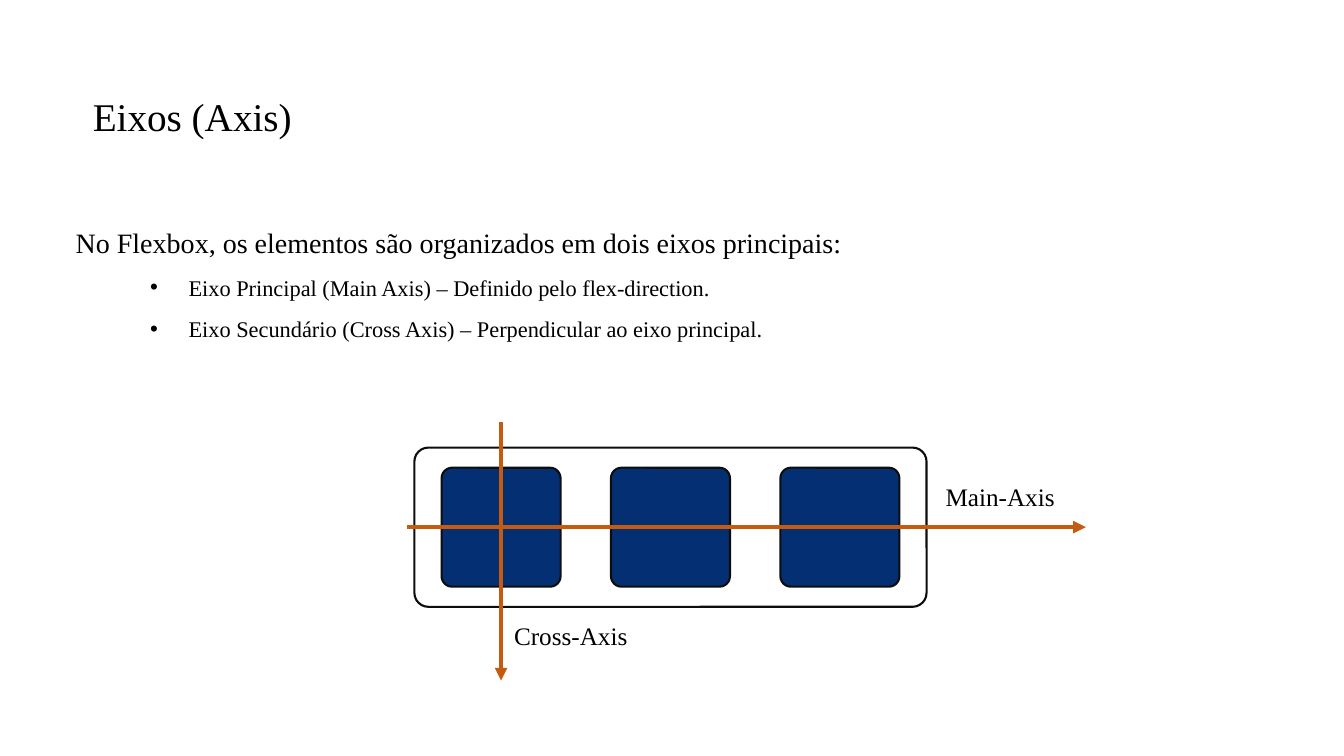
from dataclasses import dataclass
from lxml.etree import SubElement
from pptx import Presentation
from pptx.dml.color import RGBColor as RGB
from pptx.enum.shapes import MSO_CONNECTOR as CONN, MSO_SHAPE as SHAPE
from pptx.enum.text import MSO_ANCHOR as ANCHOR, MSO_AUTO_SIZE as AUTO, PP_ALIGN as ALIGN
from pptx.oxml.ns import qn
from pptx.util import Inches, Pt

W, H = 13.33, 7.5


@dataclass(frozen=True)
class Theme:
    font: str = "Times New Roman"
    text: RGB = RGB(0, 0, 0)
    paper: RGB = RGB(255, 255, 255)
    item: RGB = RGB(0x04, 0x30, 0x73)
    border: RGB = RGB(0x0D, 0x0D, 0x0D)
    axis: RGB = RGB(0xC5, 0x5A, 0x11)
    title: int = 28
    intro: int = 20
    bullet: int = 16
    label: int = 18


T = Theme()

# Flex container: three square items spread along one row
ITEM, STEP = 1.18, 1.68
ROW_X, ROW_Y = 4.38, 4.64
PAD_X, PAD_Y = 0.27, 0.2
MAIN_Y = ROW_Y + ITEM / 2
CROSS_X = ROW_X + ITEM / 2


def place(s, x, y, w, h):
    for name, value in dict(left=x, top=y, width=w, height=h).items():
        setattr(s, name, Inches(value))


def write(p, text, size, **formats):
    for name, value in formats.items():
        setattr(p, name, value)
    r = p.add_run()
    r.text = text
    for name, value in dict(name=T.font, size=Pt(size), bold=False).items():
        setattr(r.font, name, value)
    r.font.color.rgb = T.text


def set_bullet(p, char=None, margin=0.0, indent=0.0):
    pPr = p._p.get_or_add_pPr()
    pPr.set("marL", str(Inches(margin)))
    pPr.set("indent", str(Inches(indent)))
    if char:
        SubElement(pPr, qn("a:buFont"), typeface="Arial")
        SubElement(pPr, qn("a:buChar"), char=char)
    else:
        SubElement(pPr, qn("a:buNone"))


def add_title(s, text):
    place(s, 0.82, 0.93, 10.29, 0.49)
    tf = s.text_frame
    tf.auto_size, tf.vertical_anchor = AUTO.NONE, ANCHOR.MIDDLE
    write(tf.paragraphs[0], text, T.title, alignment=ALIGN.LEFT, line_spacing=0.9)


def add_body(s, intro, bullets):
    place(s, 0.65, 2.02, 12.04, 1.4)
    tf = s.text_frame
    tf.auto_size, tf.vertical_anchor = AUTO.NONE, ANCHOR.TOP
    p = tf.paragraphs[0]
    set_bullet(p)
    write(p, intro, T.intro, alignment=ALIGN.JUSTIFY, line_spacing=1.5, space_before=Pt(0))
    for text in bullets:
        p = tf.add_paragraph()
        set_bullet(p, "•", 1.12, -0.38)
        write(p, text, T.bullet, level=1, alignment=ALIGN.LEFT, line_spacing=1.5,
              space_before=Pt(1))


def add_box(shapes, x, y, w, h, fill):
    s = shapes.add_shape(SHAPE.ROUNDED_RECTANGLE, *map(Inches, (x, y, w, h)))
    s.adjustments[0] = 0.088
    s.shadow.inherit = False
    s.fill.solid()
    s.fill.fore_color.rgb = fill
    s.line.color.rgb = T.border
    s.line.width = Pt(1.5)


def add_axis(shapes, x1, y1, x2, y2):
    s = shapes.add_connector(CONN.STRAIGHT, *map(Inches, (x1, y1, x2, y2)))
    s.line.color.rgb = T.axis
    s.line.width = Pt(3)
    SubElement(s.line._get_or_add_ln(), qn("a:tailEnd"), type="triangle")
    SubElement(s._element.spPr, qn("a:effectLst"))


def add_label(shapes, text, x, y):
    s = shapes.add_textbox(*map(Inches, (x, y, 1.43, 0.4)))
    tf = s.text_frame
    tf.word_wrap, tf.auto_size = True, AUTO.SHAPE_TO_FIT_TEXT
    write(tf.paragraphs[0], text, T.label)


def main():
    prs = Presentation()
    prs.slide_width, prs.slide_height = Inches(W), Inches(H)
    slide = prs.slides.add_slide(prs.slide_layouts[1])
    shapes = slide.shapes

    # Heading and list
    add_title(shapes.title, "Eixos (Axis)")
    add_body(slide.placeholders[1],
             "No Flexbox, os elementos são organizados em dois eixos principais:",
             ["Eixo Principal (Main Axis) – Definido pelo flex-direction.",
              "Eixo Secundário (Cross Axis) – Perpendicular ao eixo principal."])

    # Container with its items
    group = shapes.add_group_shape().shapes
    add_box(group, ROW_X - PAD_X, ROW_Y - PAD_Y,
            2 * STEP + ITEM + 2 * PAD_X, ITEM + 2 * PAD_Y, T.paper)
    for i in range(3):
        add_box(group, ROW_X + i * STEP, ROW_Y, ITEM, ITEM, T.item)

    # Axes and their labels
    add_axis(shapes, 4.04, MAIN_Y, 10.77, MAIN_Y)
    add_label(shapes, "Main-Axis", 9.28, MAIN_Y - 0.5)
    add_axis(shapes, CROSS_X, 4.19, CROSS_X, 6.75)
    add_label(shapes, "Cross-Axis", 5, 6.11)

    prs.save("out.pptx")


if __name__ == "__main__":
    main()
